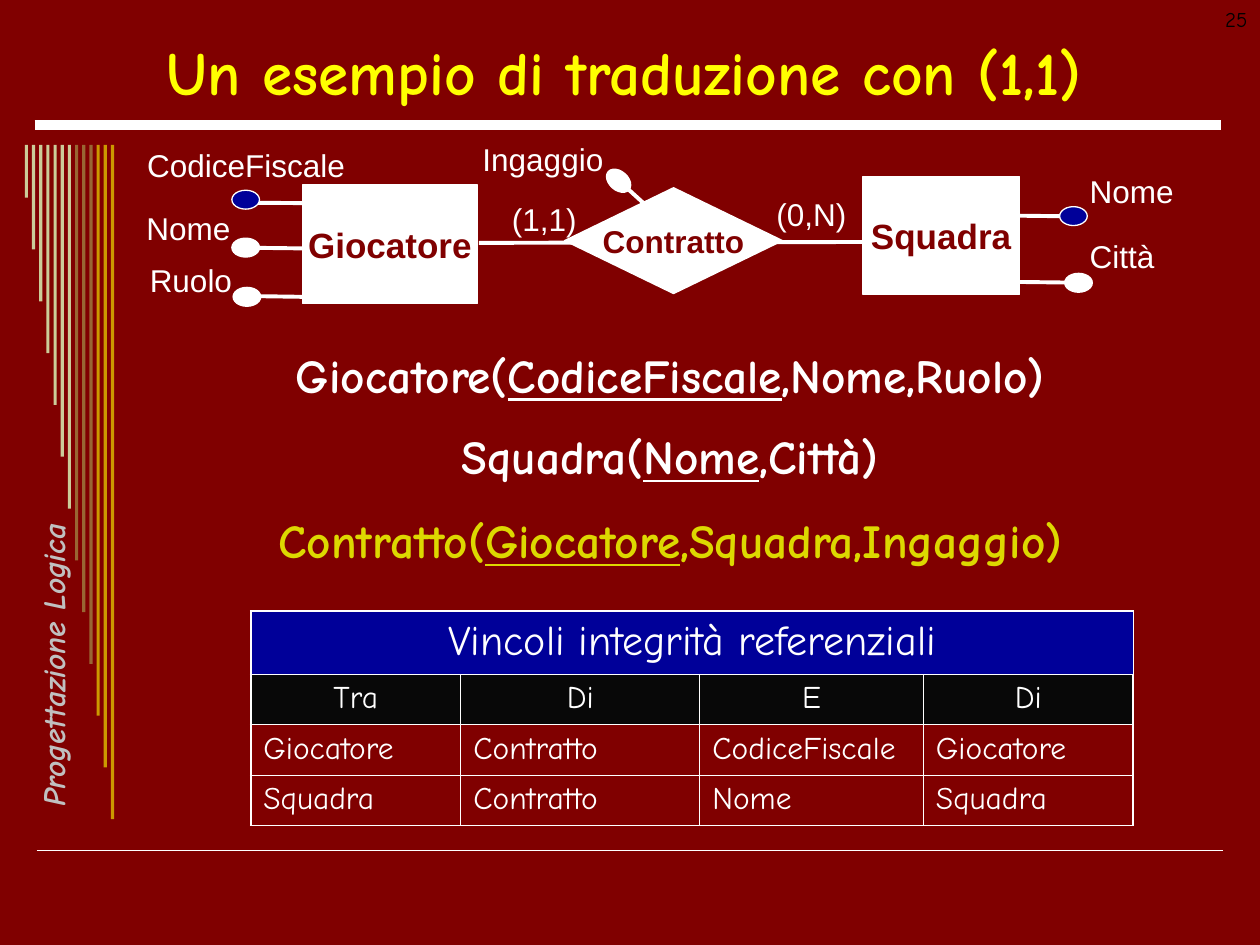
from dataclasses import dataclass

from lxml.etree import SubElement
from pptx import Presentation
from pptx.dml.color import RGBColor
from pptx.enum.shapes import MSO_CONNECTOR, MSO_SHAPE
from pptx.enum.text import MSO_ANCHOR, PP_ALIGN
from pptx.oxml.ns import qn
from pptx.util import Pt


@dataclass(frozen=True)
class Theme:
    ground: str = "800000"
    white: str = "FFFFFF"
    black: str = "000000"
    title: str = "FFFF00"
    accent: str = "DDD800"
    key: str = "000099"
    header: str = "080808"
    side: str = "C0C0C0"
    stripes: tuple = ("CCCC99",) * 7 + ("996633",) * 3 + ("CC9900",) * 3
    hand: str = "Comic Neue"
    sans: str = "Arial"
    title_size: float = 35
    body_size: float = 27
    table_title_size: float = 24
    entity_size: float = 20
    text_size: float = 18
    number_size: float = 12


@dataclass(frozen=True)
class Node:
    name: str
    kind: MSO_SHAPE
    box: tuple
    size: float


@dataclass(frozen=True)
class Label:
    text: str
    x: float
    y: float
    w: float
    align: PP_ALIGN = PP_ALIGN.LEFT


@dataclass(frozen=True)
class Attribute:
    label: Label
    dot: tuple
    line: tuple
    key: bool = False
    turn: float = 0


@dataclass(frozen=True)
class Relation:
    before: str
    key: str
    after: str
    color: str
    gap: float = 0


T = Theme()
CENTER, RIGHT = PP_ALIGN.CENTER, PP_ALIGN.RIGHT


def rgb(color: str) -> RGBColor:
    return RGBColor.from_string(color)


def style(p, size: float, color: str, font: str = T.hand, align=PP_ALIGN.LEFT,
          bold: bool = False, italic: bool = False) -> None:
    p.alignment = align
    for r in p.runs:
        f = r.font
        f.name, f.size, f.bold, f.italic = font, Pt(size), bold, italic
        f.color.rgb = rgb(color)


def add_text(s, text: str, box: tuple, size: float, color: str, wrap: bool = True,
             anchor=MSO_ANCHOR.TOP, **look):
    sp = s.shapes.add_textbox(*map(Pt, box))
    tf = sp.text_frame
    tf.word_wrap, tf.vertical_anchor = wrap, anchor
    tf.text = text
    style(tf.paragraphs[0], size, color, **look)
    return sp


def add_shape(s, kind, box: tuple, fill: str, outline: bool = True):
    sp = s.shapes.add_shape(kind, *map(Pt, box))
    sp.shadow.inherit = False
    sp.fill.solid()
    sp.fill.fore_color.rgb = rgb(fill)
    if outline:
        sp.line.color.rgb, sp.line.width = rgb(T.white), Pt(0.75)
    else:
        sp.line.fill.background()
    return sp


def add_line(s, ends: tuple, width: float = 2.25) -> None:
    c = s.shapes.add_connector(MSO_CONNECTOR.STRAIGHT, *map(Pt, ends))
    c.line.color.rgb, c.line.width = rgb(T.white), Pt(width)
    SubElement(c._element.spPr, qn("a:effectLst"))


def add_label(s, label: Label) -> None:
    add_text(s, label.text, (label.x, label.y, label.w, 28.8), T.text_size, T.white,
             font=T.sans, align=label.align)


def add_node(s, node: Node) -> None:
    tf = add_shape(s, node.kind, node.box, T.white).text_frame
    tf.word_wrap, tf.vertical_anchor = False, MSO_ANCHOR.MIDDLE
    tf.text = node.name
    style(tf.paragraphs[0], node.size, T.ground, T.sans, CENTER, bold=True)


def add_attribute(s, a: Attribute) -> None:
    add_line(s, a.line)
    sp = add_shape(s, MSO_SHAPE.OVAL, (*a.dot, 15.8, 10.8), T.key if a.key else T.white)
    sp.rotation = a.turn
    add_label(s, a.label)


def set_border(cell, side: str, width: float) -> None:
    ln = SubElement(cell._tc.get_or_add_tcPr(), qn(f"a:{side}"), w=str(int(Pt(width))))
    SubElement(SubElement(ln, qn("a:solidFill")), qn("a:srgbClr"), val=T.white)


def add_constraints(s, title: str, rows: list, widths: tuple, heights: tuple) -> None:
    nr, nc = len(rows) + 1, len(widths)
    tbl = s.shapes.add_table(nr, nc, Pt(143.3), Pt(349.2), Pt(sum(widths)), Pt(sum(heights))).table
    tbl.first_row = tbl.horz_banding = False
    for col, w in zip(tbl.columns, widths):
        col.width = Pt(w)
    for row, h in zip(tbl.rows, heights):
        row.height = Pt(h)
    for i, texts in enumerate([(title,) + ("",) * (nc - 1), *rows]):
        for j, text in enumerate(texts):
            cell = tbl.cell(i, j)
            cell.text = text
            style(cell.text_frame.paragraphs[0], T.text_size if i else T.table_title_size,
                  T.white, align=CENTER if i < 2 else PP_ALIGN.LEFT)
            # Borders come before the fill in the cell properties
            outer = {"lnL": j == 0, "lnR": j == nc - 1, "lnT": i == 0, "lnB": i == nr - 1}
            for side, edge in outer.items():
                set_border(cell, side, 1.08 if edge else 0.45)
            if i < 2:
                cell.fill.solid()
                cell.fill.fore_color.rgb = rgb(T.header if i else T.key)
            else:
                cell.fill.background()
    tbl.cell(0, 0).merge(tbl.cell(0, nc - 1))


def add_relations(s, relations: list) -> None:
    tf = s.shapes.add_textbox(Pt(76.3), Pt(194.4), Pt(613.4), Pt(150)).text_frame
    tf.word_wrap = True
    for i, rel in enumerate(relations):
        p = tf.add_paragraph() if i else tf.paragraphs[0]
        if rel.gap:
            p.space_before = Pt(rel.gap)
        for part in (rel.before, rel.key, rel.after):
            r = p.add_run()
            r.text = part
            r.font.underline = part == rel.key
        style(p, T.body_size, rel.color, align=CENTER, bold=True)


NODES = [
    Node("Contratto", MSO_SHAPE.DIAMOND, (322.6, 107.3, 124.6, 60.5), T.text_size),
    Node("Giocatore", MSO_SHAPE.RECTANGLE, (172.8, 105.8, 100.1, 67.7), T.entity_size),
    Node("Squadra", MSO_SHAPE.RECTANGLE, (493.2, 100.8, 89.3, 67.7), T.entity_size),
]
ATTRIBUTES = [
    Attribute(Label("CodiceFiscale", 77, 79.9, 142.6), (132.5, 108.7), (175.7, 116.1, 146.2, 115.9), key=True),
    Attribute(Label("Nome", 76.5, 115.9, 95), (132.5, 136.1), (176.4, 142, 144, 141.6)),
    Attribute(Label("Ruolo", 78.5, 145.4, 95), (133.2, 164.2), (177.1, 169.7, 144.7, 169.2)),
    Attribute(Label("Ingaggio", 268.6, 76.3, 142.6), (345.6, 97.9), (380.2, 127.4, 356.4, 105.8), turn=41.3),
    Attribute(Label("Nome", 615.6, 95, 63.4), (605.5, 118.1), (577.4, 123.2, 609.8, 123.6), key=True),
    Attribute(Label("Città", 615.6, 131.8, 63.4), (608.4, 156.2), (580.3, 161.1, 612.7, 161.5)),
]
CARDINALITIES = [Label("(1,1)", 263.5, 110.9, 95, CENTER), Label("(0,N)", 416.2, 108, 95, CENTER)]
RELATIONS = [
    Relation("Giocatore(", "CodiceFiscale", ",Nome,Ruolo)", T.white),
    Relation("Squadra(", "Nome", ",Città)", T.white, 14),
    Relation("Contratto(", "Giocatore", ",Squadra,Ingaggio)", T.accent, 15.5),
]
CONSTRAINTS = [
    ("Tra", "Di", "E", "Di"),
    ("Giocatore", "Contratto", "CodiceFiscale", "Giocatore"),
    ("Squadra", "Contratto", "Nome", "Squadra"),
]


def main() -> None:
    prs = Presentation()
    prs.slide_width, prs.slide_height = Pt(720), Pt(540)
    s = prs.slides.add_slide(prs.slide_layouts[6])
    s.background.fill.solid()
    s.background.fill.fore_color.rgb = rgb(T.ground)

    # Rules, side stripes and running title
    add_line(s, (20.9, 486, 699.1, 486), 1)
    add_line(s, (19.8, 71.4, 697.7, 71.4), 6)
    for i, color in enumerate(T.stripes):
        add_shape(s, MSO_SHAPE.RECTANGLE, (14.2 + 4.1 * i, 82.8, 1.8, 30.2 + 29.6 * i), color, False)
    side = add_text(s, "Progettazione Logica", (-79.9, 354.2, 209.5, 18), T.text_size, T.side,
                    wrap=False, bold=True, italic=True)
    side.rotation = 270

    # Title and relational schema
    add_text(s, "Un esempio di traduzione con (1,1)", (25.2, 15.1, 663.1, 51.1), T.title_size,
             T.title, anchor=MSO_ANCHOR.MIDDLE, align=CENTER, bold=True)
    add_relations(s, RELATIONS)

    # Entity-relationship diagram
    add_line(s, (529.2, 138.2, 273.6, 138.8))
    for node in NODES:
        add_node(s, node)
    for attribute in ATTRIBUTES:
        add_attribute(s, attribute)
    for label in CARDINALITIES:
        add_label(s, label)

    # Referential constraints and slide number
    add_constraints(s, "Vincoli integrità referenziali", CONSTRAINTS,
                    (120, 136.6, 127.8, 119.9), (36, 28.8, 28.8, 28.8))
    add_text(s, "25", (552.2, 0, 167.8, 36), T.number_size, T.black, align=RIGHT)

    prs.save("out.pptx")


if __name__ == "__main__":
    main()
